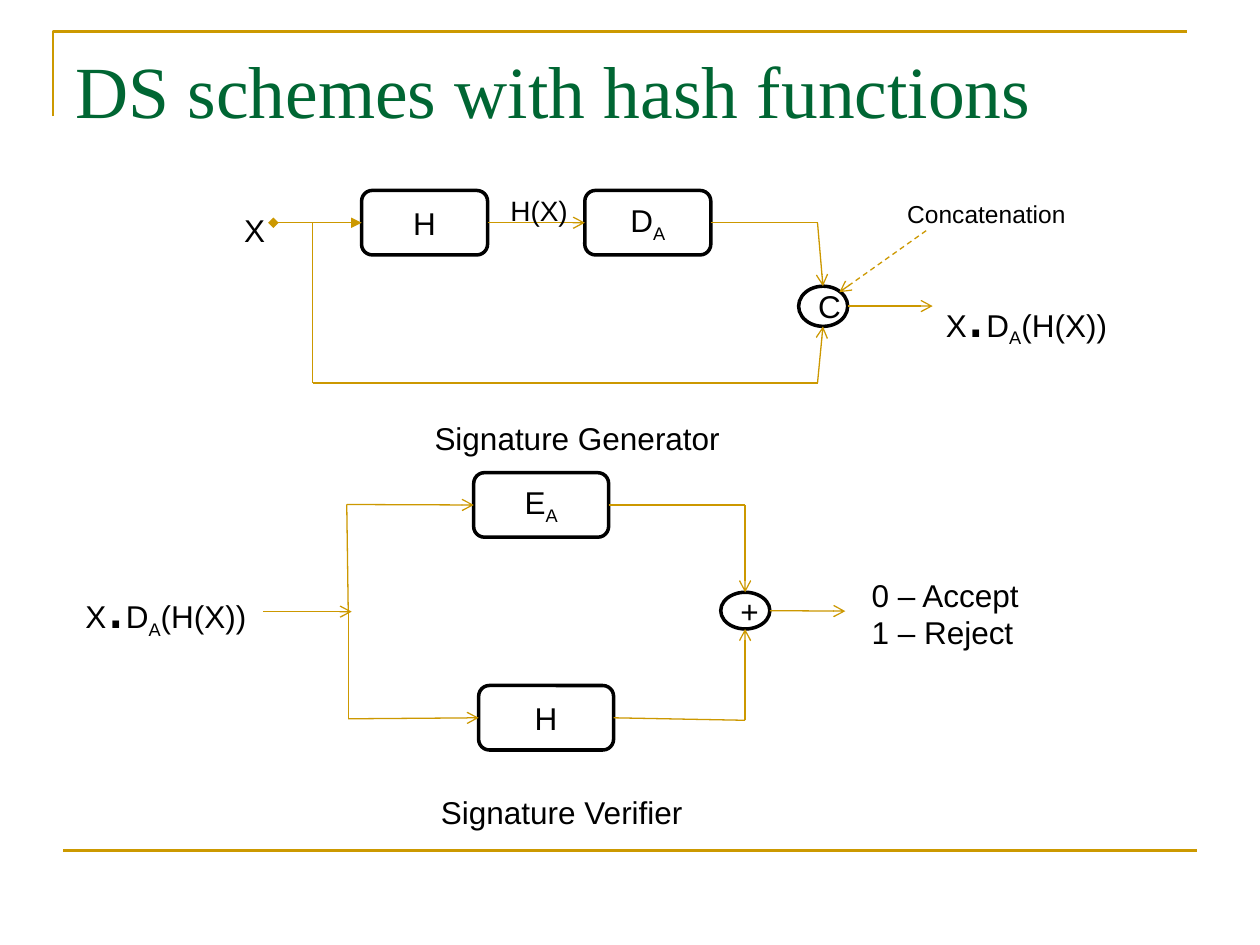
from dataclasses import dataclass
from typing import Optional, Union

from lxml import etree
from pptx import Presentation
from pptx import util as u
from pptx.dml.color import RGBColor
from pptx.enum import dml, shapes, text
from pptx.oxml.ns import qn

COLORS = {"rule": "CC9900", "wire": "CC9800", "title": "006633", "ink": "000000", "paper": "FFFFFF"}


@dataclass(frozen=True)
class Span:
    words: str
    size: float = 18
    subscript: bool = False
    font: str = "Arial"
    color: str = "ink"


Line = tuple[Span, ...]
Point = tuple[float, float]
Joint = tuple[str, int]  # block name, side number
End = Union[Point, Joint]
LEFT, RIGHT = 1, 3


@dataclass(frozen=True)
class Block:
    name: str
    left: float
    top: float
    width: float
    height: float
    line: Line
    kind: shapes.MSO_SHAPE = shapes.MSO_SHAPE.ROUNDED_RECTANGLE


@dataclass(frozen=True)
class Label:
    left: float
    top: float
    width: float
    height: float
    lines: tuple[Line, ...]
    wrap: bool = False


@dataclass(frozen=True)
class Wire:
    start: End
    end: End
    head: Optional[str] = None
    tail: Optional[str] = None
    dashed: bool = False


A = Span("A", subscript=True)
SIGNED = (Span("X"), Span(".", 40), Span("D"), A, Span("(H(X))"))
OVAL = shapes.MSO_SHAPE.OVAL

BLOCKS = [
    Block("decrypt", 11.79, 3.84, 2.54, 1.3, (Span("D"), A)),
    Block("hash", 7.29, 3.84, 2.54, 1.3, (Span("H"),)),
    Block("concatenate", 16.1, 5.77, 0.99, 0.81, (Span("C"),), OVAL),
    Block("encrypt", 9.55, 9.53, 2.72, 1.3, (Span("E"), A)),
    Block("rehash", 9.65, 13.82, 2.72, 1.3, (Span("H"),)),
    Block("compare", 14.53, 11.94, 0.99, 0.74, (Span("+"),), OVAL),
]

WIRES = [
    # Signature generator
    Wire(("hash", RIGHT), ("decrypt", LEFT), tail="arrow"),
    Wire((5.51, 4.49), ("hash", LEFT), head="diamond", tail="triangle"),
    Wire((6.3, 4.49), (6.3, 7.72)),
    Wire((6.3, 7.72), (16.48, 7.72)),
    Wire((16.48, 7.72), (16.59, 6.58), tail="arrow"),
    Wire(("decrypt", RIGHT), (16.48, 4.49)),
    Wire((16.48, 4.49), (16.59, 5.77), tail="arrow"),
    Wire((17.09, 6.17), (18.8, 6.17), tail="arrow"),
    Wire((18.67, 4.65), (16.92, 5.89), tail="arrow", dashed=True),
    # Signature verifier
    Wire((5.31, 12.33), (7.09, 12.33), tail="arrow"),
    Wire((7.02, 12.33), (6.99, 10.17)),
    Wire((6.99, 10.17), ("encrypt", LEFT), tail="arrow"),
    Wire((7.02, 12.33), (7.02, 14.49)),
    Wire((7.02, 14.49), ("rehash", LEFT), tail="arrow"),
    Wire(("encrypt", RIGHT), (15.02, 10.18)),
    Wire(("rehash", RIGHT), (15.02, 14.52)),
    Wire((15.02, 10.18), (15.02, 11.94), tail="arrow"),
    Wire((15.02, 14.52), (15.02, 12.68), tail="arrow"),
    Wire((15.52, 12.31), (17.04, 12.32), tail="arrow"),
]

LABELS = [
    Label(18.82, 5.26, 4.06, 1.96, (SIGNED,), wrap=True),
    Label(4.67, 4.13, 1, 1.02, ((Span("X"),),)),
    Label(8.51, 8.33, 6.5, 1.02, ((Span("Signature Generator"),),)),
    Label(10.04, 3.78, 1.9, 0.94, ((Span("H(X)", 16),),)),
    Label(18.04, 3.89, 3.9, 0.86, ((Span("Concatenation", 14),),)),
    Label(1.47, 11.13, 4.14, 1.96, (SIGNED,), wrap=True),
    Label(17.32, 11.48, 3.7, 1.78, ((Span("0 – Accept"),), (Span("1 – Reject"),))),
    Label(8.64, 15.87, 5.6, 1.02, ((Span("Signature Verifier"),),)),
]


def rgb(name: str) -> RGBColor:
    return RGBColor.from_string(COLORS[name])


def write(frame, lines: tuple[Line, ...], align=text.PP_ALIGN.LEFT) -> None:
    for index, line in enumerate(lines):
        para = frame.add_paragraph() if index else frame.paragraphs[0]
        para.alignment = align
        for part in line:
            span = para.add_run()
            span.text = part.words
            span.font.size = u.Pt(part.size)
            span.font.name = part.font
            span.font.color.rgb = rgb(part.color)
            if part.subscript:
                span.font._element.set("baseline", "-25000")


def add_label(page, label: Label):
    box = page.shapes.add_textbox(u.Cm(label.left), u.Cm(label.top), u.Cm(label.width), u.Cm(label.height))
    box.text_frame.word_wrap = label.wrap
    # A fixed size keeps unwrapped labels on one line, starting at their left edge.
    box.text_frame.auto_size = text.MSO_AUTO_SIZE.NONE
    write(box.text_frame, label.lines)
    return box


def add_block(page, block: Block):
    shape = page.shapes.add_shape(
        block.kind, u.Cm(block.left), u.Cm(block.top), u.Cm(block.width), u.Cm(block.height))
    shape.shadow.inherit = False
    shape.fill.solid()
    shape.fill.fore_color.rgb = rgb("paper")
    shape.line.color.rgb = rgb("ink")
    shape.line.width = u.Pt(2)
    shape.text_frame.word_wrap = True
    shape.text_frame.vertical_anchor = text.MSO_ANCHOR.MIDDLE
    write(shape.text_frame, (block.line,), text.PP_ALIGN.CENTER)
    return shape


def add_wire(page, wire: Wire, blocks: dict, color: str = "wire", width: float = 0.75) -> None:
    """Draw a straight line; an end given as a joint is attached to that block."""
    joined = [isinstance(end[0], str) for end in (wire.start, wire.end)]
    start, end = ((0, 0) if joint else point for joint, point in zip(joined, (wire.start, wire.end)))
    line = page.shapes.add_connector(
        shapes.MSO_CONNECTOR.STRAIGHT, *(u.Cm(value) for value in (*start, *end)))
    if joined[0]:
        line.begin_connect(blocks[wire.start[0]], wire.start[1])
    if joined[1]:
        line.end_connect(blocks[wire.end[0]], wire.end[1])
    line.line.color.rgb = rgb(color)
    line.line.width = u.Pt(width)
    if wire.dashed:
        line.line.dash_style = dml.MSO_LINE.DASH
    outline = line.line._get_or_add_ln()
    for tag, kind in (("a:headEnd", wire.head), ("a:tailEnd", wire.tail)):
        if kind:
            etree.SubElement(outline, qn(tag), type=kind)
    etree.SubElement(line._element.spPr, qn("a:effectLst"))


def add_frame(page) -> None:
    """Draw the corner rule above the title and the rule at the foot."""
    builder = page.shapes.build_freeform(u.Cm(1.07), u.Cm(2.34))
    builder.add_line_segments([(u.Cm(1.07), u.Cm(0.64)), (u.Cm(23.93), u.Cm(0.64))], close=False)
    corner = builder.convert_to_shape()
    corner.shadow.inherit = False
    corner.fill.background()
    corner.line.color.rgb = rgb("rule")
    corner.line.width = u.Pt(1.5)
    add_wire(page, Wire((1.27, 17.15), (24.13, 17.15)), {}, "rule", 1.5)


def main() -> None:
    deck = Presentation()
    deck.slide_width, deck.slide_height = u.Cm(25.4), u.Cm(19.05)
    page = deck.slides.add_slide(deck.slide_layouts[6])
    add_frame(page)
    heading = Span("DS schemes with hash functions", 42, font="Times New Roman", color="title")
    title = add_label(page, Label(1.27, 0.76, 22.86, 3.18, ((heading,),), wrap=True))
    title.text_frame.margin_top = u.Cm(0.14)
    blocks = {block.name: add_block(page, block) for block in BLOCKS}
    for wire in WIRES:
        add_wire(page, wire, blocks)
    for label in LABELS:
        add_label(page, label)
    deck.save("out.pptx")


if __name__ == "__main__":
    main()
